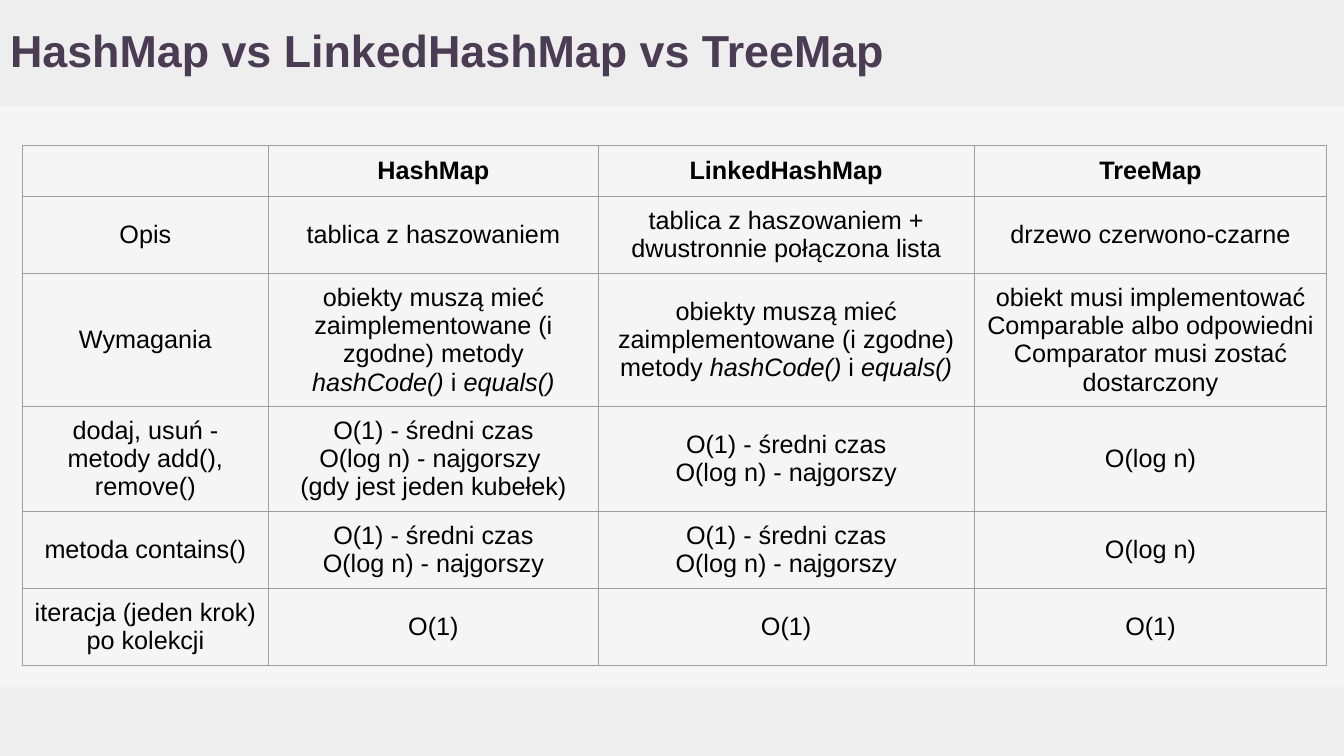
from dataclasses import dataclass
from itertools import product

from lxml import etree
from pptx import Presentation
from pptx import util as u
from pptx.dml.color import RGBColor
from pptx.enum import shapes, text
from pptx.oxml import ns


@dataclass(frozen=True)
class Theme:
    page: str = "F5F5F5"
    band: str = "EEEEEE"
    heading: str = "4A3D53"
    ink: str = "000000"
    rule: str = "9E9E9E"
    face: str = "Arial"
    title_size: float = 32
    cell_size: float = 18
    rule_width: float = 0.75
    inset: float = 7.2


THEME = Theme()
WIDTH, HEIGHT = 960, 540
HEADER = (0, 0, WIDTH, 75.6)
FOOTER = (0, 491, WIDTH, 49)
TITLE = (0, 0, 858, 75.6)
COMPARISON = (15.84, 103.9)
COLUMN_WIDTHS = (176, 235.5, 268.5, 252)
ROW_HEIGHTS = (34.4, 55, 95, 74.5, 55, 55)

HASH_NEEDS = "obiekty muszą mieć zaimplementowane (i zgodne) metody *hashCode()* i *equals()*"
HASH_TIMES = "O(1) - średni czas\nO(log n) - najgorszy"
COMPARISON_ROWS = (
    ("", "HashMap", "LinkedHashMap", "TreeMap"),
    ("Opis", "tablica z haszowaniem",
     "tablica z haszowaniem + dwustronnie połączona lista", "drzewo czerwono-czarne"),
    ("Wymagania", HASH_NEEDS, HASH_NEEDS,
     "obiekt musi implementować Comparable albo odpowiedni Comparator musi zostać dostarczony"),
    ("dodaj, usuń - metody add(), remove()",
     HASH_TIMES + " \n(gdy jest jeden kubełek)", HASH_TIMES, "O(log n)"),
    ("metoda contains()", HASH_TIMES, HASH_TIMES, "O(log n)"),
    ("iteracja (jeden krok) po kolekcji", "O(1)", "O(1)", "O(1)"),
)


def apply(target, values):
    for name, value in values.items():
        setattr(target, name, value)


def apply_font(font, color, **values):
    apply(font, {"name": THEME.face, **values})
    font.color.rgb = RGBColor.from_string(color)


def insets():
    return {f"margin_{side}": u.Pt(THEME.inset) for side in ("left", "top", "right", "bottom")}


def add_band(slide, box):
    band = slide.shapes.add_shape(shapes.MSO_SHAPE.RECTANGLE, *map(u.Pt, box))
    band.shadow.inherit = False
    band.fill.solid()
    band.fill.fore_color.rgb = RGBColor.from_string(THEME.band)
    band.line.fill.background()


def place_title(slide, box, wording):
    title = slide.shapes.title
    title.element.getparent().append(title.element)
    apply(title, dict(zip(("left", "top", "width", "height"), map(u.Pt, box))))
    frame = title.text_frame
    apply(frame, {**insets(), "word_wrap": True, "auto_size": text.MSO_AUTO_SIZE.NONE,
                  "vertical_anchor": text.MSO_ANCHOR.MIDDLE})
    heading = frame.paragraphs[0]
    apply(heading, {"alignment": text.PP_ALIGN.LEFT, "line_spacing": 0.9})
    run = heading.add_run()
    run.text = wording
    apply_font(run.font, THEME.heading, size=u.Pt(THEME.title_size), bold=True)


def outline_cell(cell):
    properties = cell._tc.get_or_add_tcPr()
    for position, side in enumerate(("lnL", "lnR", "lnT", "lnB")):
        border = etree.Element(ns.qn(f"a:{side}"), w=str(u.Pt(THEME.rule_width)))
        fill = etree.SubElement(border, ns.qn("a:solidFill"))
        etree.SubElement(fill, ns.qn("a:srgbClr"), val=THEME.rule)
        properties.insert(position, border)


def fill_cell(cell, wording, bold):
    apply(cell, {**insets(), "vertical_anchor": text.MSO_ANCHOR.MIDDLE})
    cell.fill.background()
    outline_cell(cell)
    for index, line in enumerate(wording.split("\n")):
        frame = cell.text_frame
        paragraph = frame.add_paragraph() if index else frame.paragraphs[0]
        paragraph.alignment = text.PP_ALIGN.CENTER
        for part, phrase in enumerate(line.split("*")):
            if phrase:
                run = paragraph.add_run()
                run.text = phrase
                apply_font(run.font, THEME.ink, size=u.Pt(THEME.cell_size),
                           bold=bold, italic=part % 2 == 1)


def add_comparison(slide, corner, rows):
    size = (sum(COLUMN_WIDTHS), sum(ROW_HEIGHTS))
    comparison = slide.shapes.add_table(
        len(rows), len(COLUMN_WIDTHS), *map(u.Pt, corner + size)).table
    apply(comparison, {"first_row": False, "horz_banding": False})
    for column, width in zip(comparison.columns, COLUMN_WIDTHS):
        column.width = u.Pt(width)
    for row, height in zip(comparison.rows, ROW_HEIGHTS):
        row.height = u.Pt(height)
    for r, c in product(range(len(rows)), range(len(COLUMN_WIDTHS))):
        fill_cell(comparison.cell(r, c), rows[r][c], bold=r == 0)


def build_comparison_slide(deck):
    slide = deck.slides.add_slide(deck.slide_layouts[5])
    slide.background.fill.solid()
    slide.background.fill.fore_color.rgb = RGBColor.from_string(THEME.page)
    for box in (FOOTER, HEADER):
        add_band(slide, box)
    place_title(slide, TITLE, "HashMap vs LinkedHashMap vs TreeMap")
    add_comparison(slide, COMPARISON, COMPARISON_ROWS)


def main():
    deck = Presentation()
    apply(deck, {"slide_width": u.Pt(WIDTH), "slide_height": u.Pt(HEIGHT)})
    build_comparison_slide(deck)
    deck.save("out.pptx")


if __name__ == "__main__":
    main()
